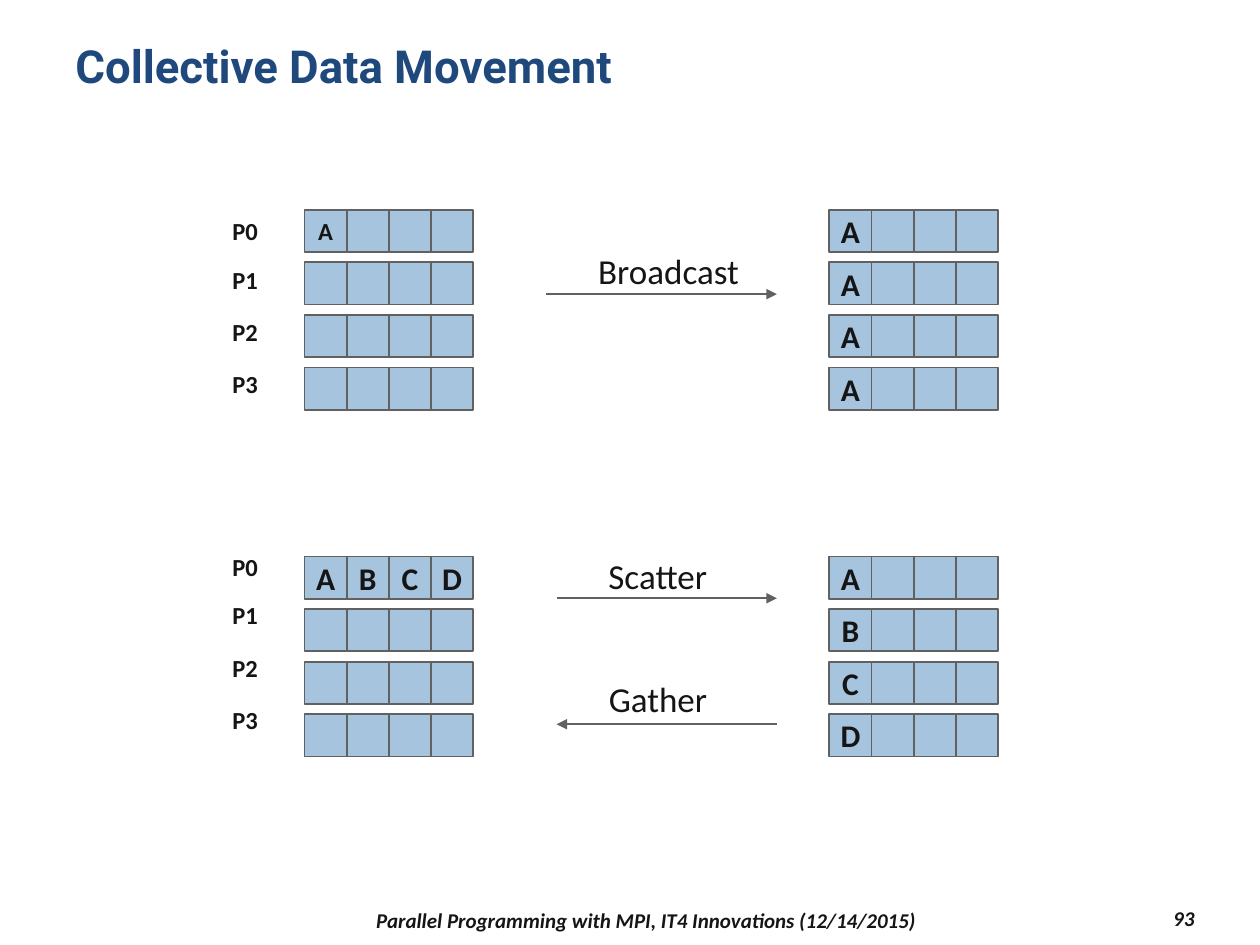
from dataclasses import dataclass

import pptx
import pptx.dml.color
import pptx.enum.shapes
import pptx.enum.text
import pptx.oxml.ns
import pptx.util
from lxml import etree

Cm = pptx.util.Cm
ALIGN = pptx.enum.text.PP_ALIGN
ANCHOR = pptx.enum.text.MSO_ANCHOR

CELL, ROW_PITCH, COLS = 0.85, 1.06, 4
LEFT_X, RIGHT_X = 6.14, 16.72
LABEL_X, LABEL_W, LABEL_H = 4.42, 1.04, 0.86
LABEL_OFFSETS = (0, 0.97, 2.03, 3.08)
FILL, LINE, INK, NAVY = "A6C4DE", "616161", "151515", "1F497D"

CELL_FONT = {"name": "Calibri", "size": 18, "color": INK, "bold": True}
SMALL_FONT = CELL_FONT | {"size": 14}
ARROW_FONT = CELL_FONT | {"size": 20, "bold": False}
FOOTER_FONT = CELL_FONT | {"size": 12, "italic": True}
TITLE_FONT = {"name": "Roboto", "size": 26, "color": NAVY, "bold": True}


@dataclass
class Grid:
    x: float
    y: float
    rows: tuple[str, ...]  # letters filling each process row from the left
    fmt: dict


@dataclass
class Arrow:
    x1: float
    x2: float
    y: float
    end: str  # "headEnd" points left, "tailEnd" points right


@dataclass
class Label:
    text: str
    x: float
    y: float
    w: float
    h: float
    fmt: dict
    align: ALIGN = ALIGN.CENTER
    anchor: ANCHOR = ANCHOR.TOP
    wrap: bool = False
    spacing: float = 1.0


GRIDS = [
    Grid(LEFT_X, 4.23, ("A", "", "", ""), SMALL_FONT),
    Grid(RIGHT_X, 4.23, ("A", "A", "A", "A"), CELL_FONT),
    Grid(LEFT_X, 11.22, ("ABCD", "", "", ""), CELL_FONT),
    Grid(RIGHT_X, 11.22, ("A", "B", "C", "D"), CELL_FONT),
]
ARROWS = [
    Arrow(11.01, 15.66, 5.93, "tailEnd"),
    Arrow(11.22, 15.66, 12.06, "tailEnd"),
    Arrow(11.22, 15.66, 14.6, "headEnd"),
]
LABELS = [
    Label("Collective Data Movement", 1.27, 0.76, 22.86, 2.21, TITLE_FONT,
          ALIGN.LEFT, wrap=True, spacing=0.9),
    Label("Broadcast", 11.79, 4.9, 3.38, 1.12, ARROW_FONT),
    Label("Scatter", 11.99, 11.05, 2.54, 1.12, ARROW_FONT),
    Label("Gather", 12.01, 13.54, 2.51, 1.12, ARROW_FONT),
    Label("Parallel Programming with MPI, IT4 Innovations (12/14/2015)",
          5.51, 18.21, 15.04, 0.69, FOOTER_FONT, anchor=ANCHOR.MIDDLE, wrap=True),
    Label("93", 21.59, 18.16, 2.74, 0.69, FOOTER_FONT,
          ALIGN.RIGHT, ANCHOR.MIDDLE, True),
]
# Process names beside the two left grids
LABELS += [
    Label(f"P{i}", LABEL_X, top + dy, LABEL_W, LABEL_H, SMALL_FONT)
    for top in (4.24, 11.01)
    for i, dy in enumerate(LABEL_OFFSETS)
]


def rgb(value: str) -> pptx.dml.color.RGBColor:
    return pptx.dml.color.RGBColor.from_string(value)


def write(tf, text: str, fmt: dict, align: ALIGN, anchor: ANCHOR, wrap: bool):
    tf.word_wrap = wrap
    tf.vertical_anchor = anchor
    p = tf.paragraphs[0]
    p.alignment = align
    r = p.add_run()
    r.text = text
    for key, value in fmt.items():
        if key == "color":
            r.font.color.rgb = rgb(value)
        else:
            setattr(r.font, key, pptx.util.Pt(value) if key == "size" else value)
    return p


def draw_grid(s, grid: Grid) -> None:
    for row, letters in enumerate(grid.rows):
        for col, letter in enumerate(letters.ljust(COLS)):
            sp = s.shapes.add_shape(
                pptx.enum.shapes.MSO_SHAPE.RECTANGLE,
                Cm(grid.x + col * CELL), Cm(grid.y + row * ROW_PITCH),
                Cm(CELL), Cm(CELL))
            sp.shadow.inherit = False
            sp.fill.solid()
            sp.fill.fore_color.rgb = rgb(FILL)
            sp.line.color.rgb = rgb(LINE)
            sp.line.width = pptx.util.Pt(1)
            if letter.strip():
                write(sp.text_frame, letter, grid.fmt, ALIGN.CENTER,
                      ANCHOR.MIDDLE, False)


def draw_arrow(s, arrow: Arrow) -> None:
    cx = s.shapes.add_connector(
        pptx.enum.shapes.MSO_CONNECTOR.STRAIGHT,
        Cm(arrow.x1), Cm(arrow.y), Cm(arrow.x2), Cm(arrow.y))
    cx.line.color.rgb = rgb(LINE)
    cx.line.width = pptx.util.Pt(1)
    qn = pptx.oxml.ns.qn
    etree.SubElement(cx.line._get_or_add_ln(), qn(f"a:{arrow.end}"), type="triangle")
    etree.SubElement(cx._element.spPr, qn("a:effectLst"))


def draw_label(s, label: Label) -> None:
    tb = s.shapes.add_textbox(Cm(label.x), Cm(label.y), Cm(label.w), Cm(label.h))
    p = write(tb.text_frame, label.text, label.fmt, label.align,
              label.anchor, label.wrap)
    p.line_spacing = label.spacing


def main() -> None:
    prs = pptx.Presentation()
    prs.slide_width, prs.slide_height = Cm(25.4), Cm(19.05)
    s = prs.slides.add_slide(prs.slide_layouts[6])

    # Data held by each process before and after
    for grid in GRIDS:
        draw_grid(s, grid)
    # Operations
    for arrow in ARROWS:
        draw_arrow(s, arrow)
    # Title, names and footer
    for label in LABELS:
        draw_label(s, label)

    prs.save("out.pptx")


if __name__ == "__main__":
    main()
